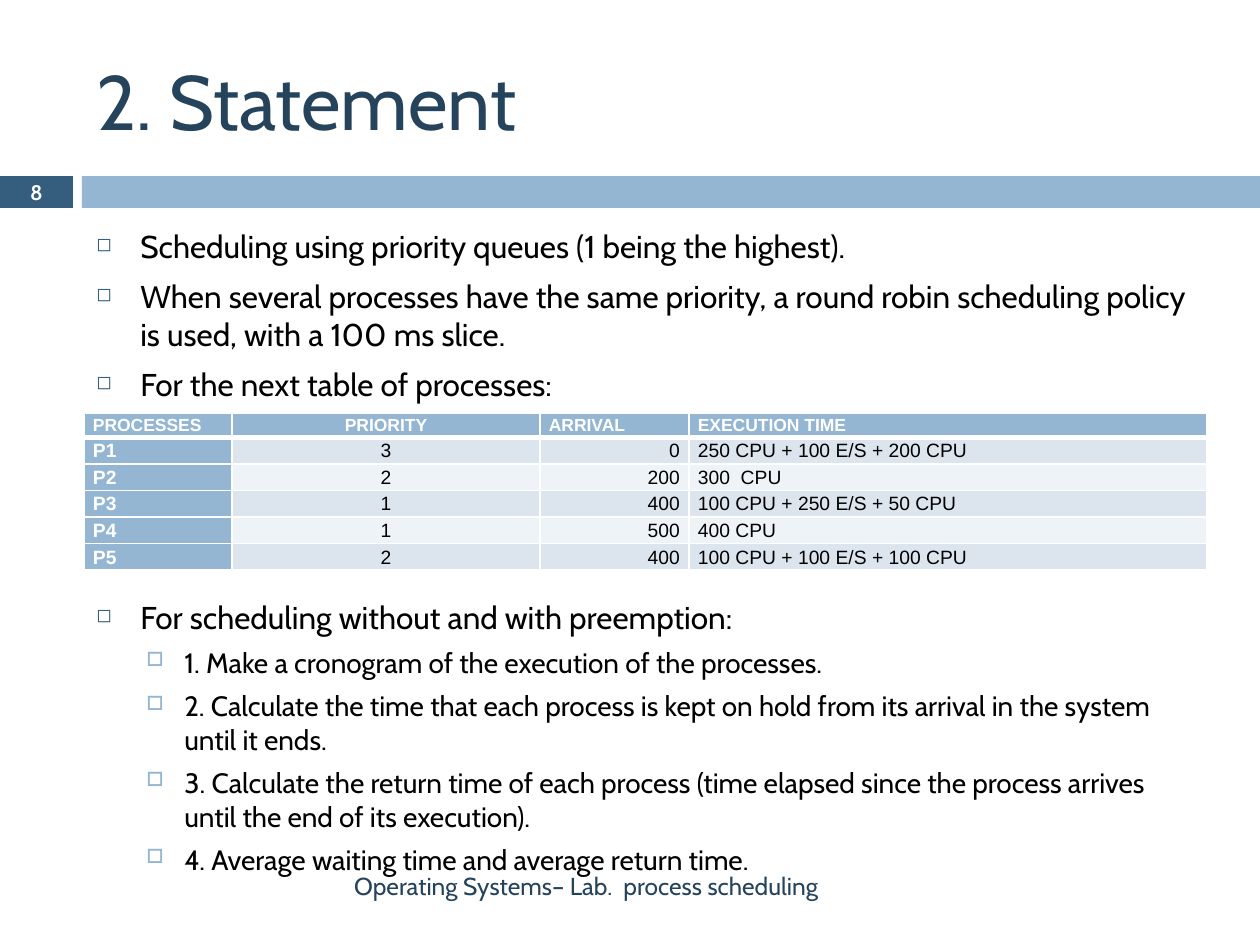
from typing import NamedTuple

from lxml import etree
from pptx import Presentation
from pptx.dml.color import RGBColor
from pptx.enum.shapes import MSO_SHAPE
from pptx.enum.text import MSO_ANCHOR, PP_ALIGN
from pptx.oxml.ns import qn
from pptx.util import Pt

RECT = MSO_SHAPE.RECTANGLE
TOP, MIDDLE = MSO_ANCHOR.TOP, MSO_ANCHOR.MIDDLE
LEFT, CENTER, RIGHT, JUST = (
    PP_ALIGN.LEFT, PP_ALIGN.CENTER, PP_ALIGN.RIGHT, PP_ALIGN.JUSTIFY)

SCALE = 914400 / 126
NAVY, DARK, BLUE = "26435C", "345D7E", "94B6D2"
BLACK, WHITE = "000000", "FFFFFF"
BANDS = "DCE5EE", "EEF3F7"


class Box(NamedTuple):
    x: int
    y: int
    w: int
    h: int


class Font(NamedTuple):
    size: int
    color: str
    name: str = "Cabin"
    bold: bool = False


class Level(NamedTuple):
    mark: str
    color: str
    ratio: int
    left: int
    hang: int
    gap: float
    font: Font


class Item(NamedTuple):
    level: Level
    text: str


class Column(NamedTuple):
    width: int
    align: PP_ALIGN


MAIN = Level("◻", DARK, 60, 44, 44, 7, Font(18, BLACK))
SUB = Level("□", BLUE, 70, 88, 38, 5.5, Font(16, BLACK))

RULES = [
    Item(MAIN, "Scheduling using priority queues (1 being the highest)."),
    Item(MAIN, "When several processes have the same priority, a round robin "
               "scheduling policy is used, with a 100 ms slice."),
    Item(MAIN, "For the next table of processes:"),
]
TASKS = [
    Item(MAIN, "For scheduling without and with preemption:"),
    Item(SUB, "1. Make a cronogram of the execution of the processes."),
    Item(SUB, "2. Calculate the time that each process is kept on hold from "
              "its arrival in the system until it ends."),
    Item(SUB, "3. Calculate the return time of each process (time elapsed since "
              "the process arrives until the end of its execution)."),
    Item(SUB, "4. Average waiting time and average return time."),
]
COLUMNS = [Column(148, JUST), Column(308, CENTER),
           Column(149, RIGHT), Column(518, JUST)]
ROWS = [
    ("PROCESSES", "PRIORITY", "ARRIVAL", "EXECUTION TIME"),
    ("P1", "3", "0", "250 CPU + 100 E/S + 200 CPU"),
    ("P2", "2", "200", "300  CPU"),
    ("P3", "1", "400", "100 CPU + 250 E/S + 50 CPU"),
    ("P4", "1", "500", "400 CPU"),
    ("P5", "2", "400", "100 CPU + 100 E/S + 100 CPU"),
]


def px(count: int) -> int:
    return round(count * SCALE)


def rgb(color: str) -> RGBColor:
    return RGBColor.from_string(color)


def style(para, font: Font, align: PP_ALIGN = LEFT) -> None:
    para.alignment = align
    for run in para.runs:
        run.font.name, run.font.size = font.name, Pt(font.size)
        run.font.bold, run.font.color.rgb = font.bold, rgb(font.color)


def add_bar(slide, box: Box, color: str) -> None:
    bar = slide.shapes.add_shape(RECT, *map(px, box))
    bar.shadow.inherit = False
    bar.fill.solid()
    bar.fill.fore_color.rgb = rgb(color)
    bar.line.fill.background()


def add_frame(slide, box: Box, anchor: MSO_ANCHOR):
    frame = slide.shapes.add_textbox(*map(px, box)).text_frame
    frame.word_wrap = True
    frame.vertical_anchor = anchor
    return frame


def add_label(slide, box: Box, text: str, font: Font, align: PP_ALIGN) -> None:
    frame = add_frame(slide, box, MIDDLE)
    frame.text = text
    style(frame.paragraphs[0], font, align)


def add_mark(para, level: Level) -> None:
    props = para._p.get_or_add_pPr()
    props.set("marL", str(px(level.left)))
    props.set("indent", str(-px(level.hang)))
    tint = etree.SubElement(props, qn("a:buClr"))
    etree.SubElement(tint, qn("a:srgbClr"), val=level.color)
    etree.SubElement(props, qn("a:buSzPct"), val=str(level.ratio * 1000))
    etree.SubElement(props, qn("a:buChar"), char=level.mark)


def add_list(slide, box: Box, items: list[Item]) -> None:
    frame = add_frame(slide, box, TOP)
    frame.text = "\n".join(item.text for item in items)
    for para, item in zip(frame.paragraphs, items):
        para.level = int(item.level is SUB)
        para.space_before = Pt(item.level.gap)
        style(para, item.level.font)
        add_mark(para, item.level)


def add_edge(cell, side: str, width: int) -> None:
    props = cell._tc.get_or_add_tcPr()
    edge = etree.SubElement(props, qn(f"a:ln{side}"), w=str(Pt(width)))
    fill = etree.SubElement(edge, qn("a:solidFill"))
    etree.SubElement(fill, qn("a:srgbClr"), val=WHITE)


def fill_cell(cell, text: str, row: int, col: int) -> None:
    head = row == 0
    label = head or col == 0
    cell.margin_left = cell.margin_right = px(9)
    cell.margin_top = cell.margin_bottom = 0
    # A thicker rule parts the header from the rows
    for side in "LRTB":
        thick = (side == "B" and head) or (side == "T" and row == 1)
        add_edge(cell, side, 3 if thick else 1)
    cell.fill.solid()
    cell.fill.fore_color.rgb = rgb(BLUE if label else BANDS[(row - 1) % 2])
    cell.text_frame.text = text
    para = cell.text_frame.paragraphs[0]
    para.line_spacing = 1.15
    align = JUST if head and col != 1 else COLUMNS[col].align
    style(para, Font(10 if head else 11, WHITE if label else BLACK,
                     "Arial", label), align)


def add_grid(slide, box: Box) -> None:
    grid = slide.shapes.add_table(
        len(ROWS), len(COLUMNS), *map(px, box)).table
    grid.first_row = grid.horz_banding = False
    for col, column in enumerate(COLUMNS):
        grid.columns[col].width = px(column.width)
    for row, texts in enumerate(ROWS):
        grid.rows[row].height = px(23 if row else 21)
        for col, text in enumerate(texts):
            fill_cell(grid.cell(row, col), text, row, col)


def main() -> None:
    deck = Presentation()
    deck.slide_width, deck.slide_height = px(1260), px(945)
    slide = deck.slides.add_slide(deck.slide_layouts[6])

    # Title and band with the page number
    add_bar(slide, Box(0, 176, 73, 32), DARK)
    add_bar(slide, Box(82, 176, 1178, 32), BLUE)
    add_label(slide, Box(84, 32, 1124, 136), "2. Statement",
              Font(44, NAVY), LEFT)
    add_label(slide, Box(0, 175, 73, 34), "8",
              Font(12, WHITE, bold=True), CENTER)

    # Rules, process table and tasks
    add_list(slide, Box(84, 221, 1124, 190), RULES)
    add_list(slide, Box(84, 592, 1124, 290), TASKS)
    add_grid(slide, Box(84, 413, 1123, 136))

    # Footer
    add_label(slide, Box(84, 861, 747, 50),
              "Operating Systems– Lab.  process scheduling",
              Font(14, NAVY), RIGHT)

    deck.save("out.pptx")


if __name__ == "__main__":
    main()
